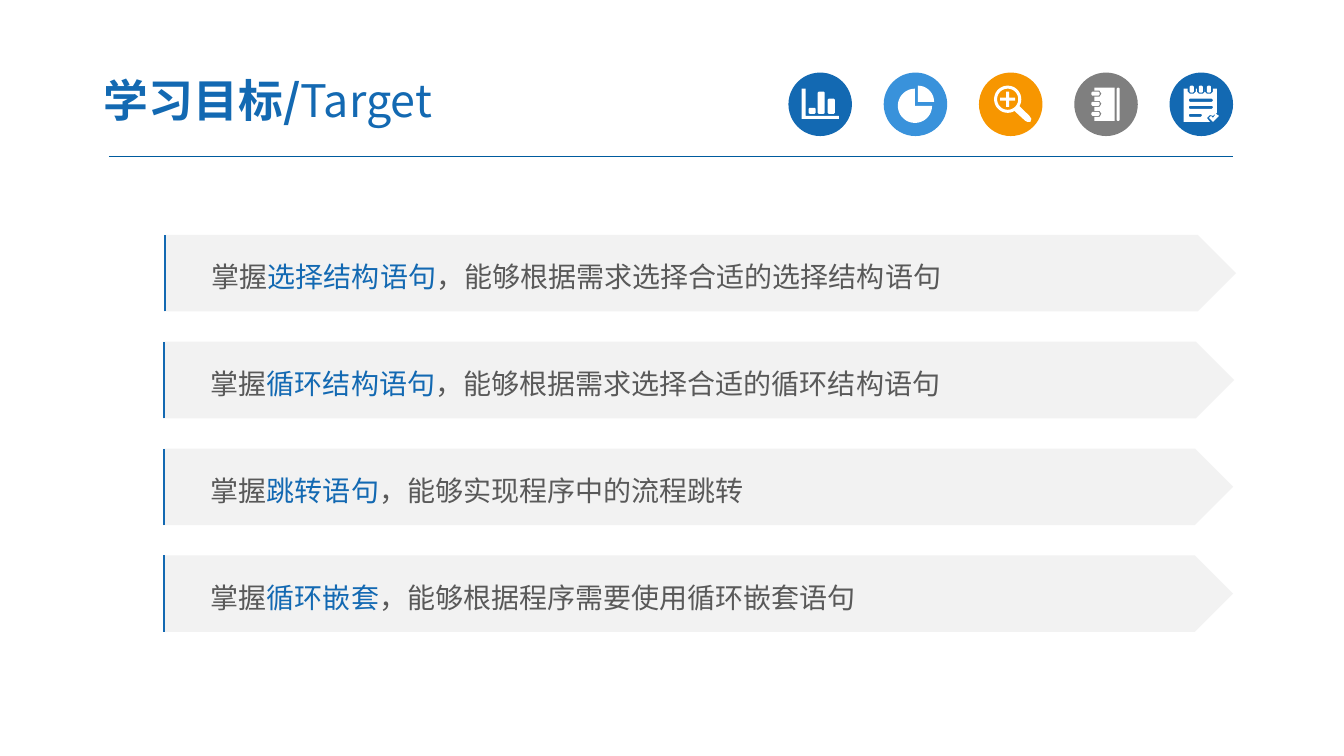
from math import cos, radians, sin

from lxml.etree import SubElement
from pptx import Presentation
from pptx.dml.color import RGBColor
from pptx.enum.shapes import MSO_CONNECTOR, MSO_SHAPE
from pptx.enum.text import MSO_ANCHOR, MSO_AUTO_SIZE, PP_ALIGN
from pptx.oxml.ns import qn
from pptx.util import Inches, Pt

BLUE = RGBColor(0x13, 0x69, 0xB2)
LIGHT_BLUE = RGBColor(0x39, 0x92, 0xDB)
RULE_BLUE = RGBColor(0x00, 0x5B, 0x9E)
ORANGE = RGBColor(0xF7, 0x96, 0x00)
GRAY = RGBColor(0x7F, 0x7F, 0x7F)
TEXT_GRAY = RGBColor(0x59, 0x59, 0x59)
PALE_GRAY = RGBColor(0xF2, 0xF2, 0xF2)
WHITE = RGBColor(0xFF, 0xFF, 0xFF)

FONT = "Noto Sans CJK SC"
DISC_LEFT, DISC_TOP, DISC_SIZE, DISC_STEP = 7.82, 0.72, 0.63, 0.945
BANNER_TOP, BANNER_STEP, BANNER_HEIGHT = 2.33, 1.06, 0.76

# Left edge, width and the three text parts of each banner
GOALS = [
    (1.63, 10.63, ("掌握", "选择结构语句", "，能够根据需求选择合适的选择结构语句")),
    (1.62, 10.62, ("掌握", "循环结构语句", "，能够根据需求选择合适的循环结构语句")),
    (1.62, 10.61, ("掌握", "跳转语句", "，能够实现程序中的流程跳转")),
    (1.62, 10.61, ("掌握", "循环嵌套", "，能够根据程序需要使用循环嵌套语句")),
]


def style_run(run, size, color, bold=False):
    run.font.size = Pt(size)
    run.font.bold = bold
    run.font.color.rgb = color
    run.font.name = FONT
    SubElement(run.font._element, qn("a:ea"), typeface=FONT)


def paint(shape, color):
    shape.shadow.inherit = False
    shape.fill.solid()
    shape.fill.fore_color.rgb = color
    shape.line.fill.background()


def add_rule(slide):
    rule = slide.shapes.add_connector(
        MSO_CONNECTOR.STRAIGHT, Inches(1.08), Inches(1.55), Inches(12.23), Inches(1.55))
    rule.line.color.rgb = RULE_BLUE
    rule.line.width = Pt(0.75)
    SubElement(rule._element.spPr, qn("a:effectLst"))


def add_title(slide):
    title = slide.shapes.title
    title.left, title.top = Inches(0.89), Inches(0.63)
    title.width, title.height = Inches(5.22), Inches(0.72)
    frame = title.text_frame
    frame.auto_size = MSO_AUTO_SIZE.NONE
    frame.vertical_anchor = MSO_ANCHOR.MIDDLE
    frame.margin_left = frame.margin_right = Inches(0.14)
    frame.margin_top = frame.margin_bottom = Inches(0.07)
    paragraph = frame.paragraphs[0]
    paragraph.alignment = PP_ALIGN.LEFT
    for text, bold in (("学习目标/", True), ("Target", False)):
        run = paragraph.add_run()
        run.text = text
        style_run(run, 32, BLUE, bold)


def add_edge(shapes, left, top):
    builder = shapes.build_freeform(Inches(left), Inches(top + BANNER_HEIGHT))
    builder.add_line_segments([(Inches(left), Inches(top))], close=False)
    edge = builder.convert_to_shape()
    edge.shadow.inherit = False
    edge.fill.background()
    edge.line.color.rgb = BLUE
    edge.line.width = Pt(1.5)


def add_goal(slide, top, left, width, parts):
    shapes = slide.shapes.add_group_shape().shapes
    banner = shapes.add_shape(MSO_SHAPE.PENTAGON, Inches(left), Inches(top),
                              Inches(width), Inches(BANNER_HEIGHT))
    paint(banner, PALE_GRAY)
    frame = banner.text_frame
    frame.margin_left = Inches(0.47)
    frame.vertical_anchor = MSO_ANCHOR.MIDDLE
    paragraph = frame.paragraphs[0]
    paragraph.alignment = PP_ALIGN.LEFT
    paragraph.line_spacing = 1.2
    for text, color in zip(parts, (TEXT_GRAY, BLUE, TEXT_GRAY)):
        run = paragraph.add_run()
        run.text = text
        style_run(run, 20, color)
    add_edge(shapes, left + 0.01, top)


def bar(left, top, width, height):
    """Corners of a rectangle with its corners cut off."""
    right, bottom, cut = left + width, top + height, 0.01
    return [(left + cut, top), (right - cut, top), (right, top + cut),
            (right, bottom - cut), (right - cut, bottom), (left + cut, bottom),
            (left, bottom - cut), (left, top + cut)]


def arc(x, y, radius, start, end):
    """Points on a clockwise arc, one every 10 degrees."""
    angles = [radians(angle) for angle in range(start, end + 1, 10)]
    return [(x + radius * cos(angle), y + radius * sin(angle)) for angle in angles]


def bar_chart_contours():
    columns = ((0.2, 0.06), (0.29, 0.22), (0.39, 0.15))
    axes = [(0.13, 0.16), (0.17, 0.16), (0.17, 0.43), (0.5, 0.43),
            (0.5, 0.46), (0.13, 0.46)]
    return [axes] + [bar(left, 0.41 - height, 0.07, height) for left, height in columns]


def pie_contours():
    return [[(0.34, 0.29)] + arc(0.34, 0.29, 0.16, -90, 0),
            [(0.31, 0.33)] + arc(0.31, 0.33, 0.17, 0, 270)]


def magnifier_contours():
    x, y, arm, half = 0.285, 0.265, 0.075, 0.015
    handle = [(0.5, 0.43), (0.52, 0.46), (0.51, 0.49), (0.48, 0.49), (0.46, 0.48)]
    plus = [(-arm, -half), (-half, -half), (-half, -arm), (half, -arm),
            (half, -half), (arm, -half), (arm, half), (half, half),
            (half, arm), (-half, arm), (-half, half), (-arm, half)]
    return [arc(x, y, 0.135, 60, 390) + handle, arc(x, y, 0.105, 0, 350),
            [(x + across, y + down) for across, down in plus]]


def notebook_contours():
    centers = (0.21, 0.31, 0.41)
    cover = [(0.2, 0.15)]
    for center in centers:
        cover += [(0.2, center - 0.03), (0.25, center - 0.03), (0.27, center),
                  (0.25, center + 0.03), (0.2, center + 0.03)]
    cover += [(0.2, 0.48), (0.4, 0.48), (0.4, 0.15)]
    rings = [bar(0.17, center - 0.02, 0.08, 0.04) for center in centers]
    return [cover, bar(0.42, 0.15, 0.03, 0.33)] + rings


def notepad_contours():
    centers = (0.22, 0.31, 0.39)
    page = [(0.14, 0.49), (0.14, 0.16)]
    for center in centers:
        page += [(center - 0.04, 0.16), (center - 0.04, 0.19), (center - 0.02, 0.21),
                 (center + 0.02, 0.21), (center + 0.04, 0.19), (center + 0.04, 0.16)]
    page += [(0.47, 0.16), (0.47, 0.4), (0.43, 0.43), (0.4, 0.42), (0.37, 0.45), (0.4, 0.49)]
    rings = [bar(center - 0.02, 0.13, 0.04, 0.07) for center in centers]
    lines = [bar(0.19, top, width, 0.03)
             for top, width in ((0.26, 0.24), (0.33, 0.24), (0.41, 0.13))]
    check = [(0.39, 0.45), (0.41, 0.43), (0.43, 0.45),
             (0.46, 0.41), (0.49, 0.43), (0.43, 0.49)]
    return [page, check] + rings + lines


def add_icon(slide, position, color, contours):
    left = DISC_LEFT + position * DISC_STEP
    shapes = slide.shapes.add_group_shape().shapes
    disc = shapes.add_shape(MSO_SHAPE.OVAL, Inches(left), Inches(DISC_TOP),
                            Inches(DISC_SIZE), Inches(DISC_SIZE))
    paint(disc, color)
    placed = [[(Inches(left + x), Inches(DISC_TOP + y)) for x, y in contour]
              for contour in contours]
    builder = shapes.build_freeform(*placed[0][0])
    builder.add_line_segments(placed[0][1:], close=True)
    for contour in placed[1:]:
        builder.move_to(*contour[0])
        builder.add_line_segments(contour[1:], close=True)
    paint(builder.convert_to_shape(), WHITE)


def main():
    presentation = Presentation()
    presentation.slide_width = Inches(13.33)
    presentation.slide_height = Inches(7.5)
    slide = presentation.slides.add_slide(presentation.slide_layouts[5])

    add_title(slide)
    add_rule(slide)
    icons = ((BLUE, bar_chart_contours()), (LIGHT_BLUE, pie_contours()),
             (ORANGE, magnifier_contours()), (GRAY, notebook_contours()),
             (BLUE, notepad_contours()))
    for position, (color, contours) in enumerate(icons):
        add_icon(slide, position, color, contours)
    for row, (left, width, parts) in enumerate(GOALS):
        add_goal(slide, BANNER_TOP + row * BANNER_STEP, left, width, parts)

    presentation.save("out.pptx")


if __name__ == "__main__":
    main()
